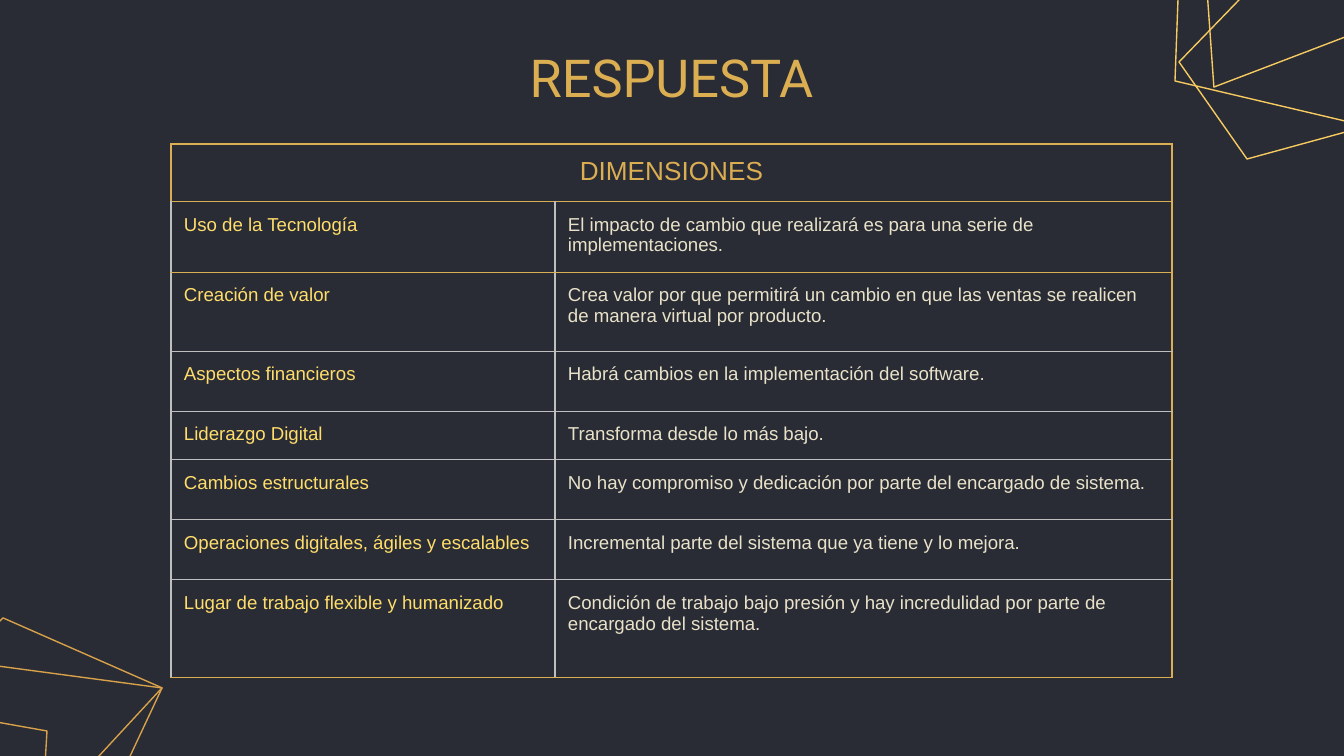
from dataclasses import dataclass

from lxml.etree import SubElement as Sub
from pptx import Presentation
from pptx.dml.color import RGBColor as Rgb
from pptx.enum.text import MSO_ANCHOR as Anchor, PP_ALIGN as Align
from pptx.oxml.ns import qn
from pptx.util import Pt

SCALE = 9144000 / 1344


def px(num):
    """Turn px into EMU."""
    return round(num * SCALE)


@dataclass(frozen=True)
class Theme:
    """Colours, fonts and type sizes."""
    back: str = "292C35"
    gold: str = "DCAE52"
    lemon: str = "FFDD6B"
    cream: str = "E9E2C9"
    pale: str = "BFBFBF"
    sun: str = "F8CB60"
    amber: str = "D9A24A"
    head: str = "Roboto"
    body: str = "Arial"
    big: int = 28
    mid: int = 14
    small: int = 10
    thin: float = 0.75
    pad: int = 13


class Deck:
    """Style and current slide."""

    def __init__(self, theme):
        """Start a deck with one blank slide."""
        self.theme = theme
        self.file = Presentation()
        self.file.slide_width, self.file.slide_height = px(1344), px(756)
        self.slide = self.file.slides.add_slide(self.file.slide_layouts[6])
        fill = self.slide.background.fill
        fill.solid()
        fill.fore_color.rgb = Rgb.from_string(theme.back)

    def label(self, para, text, font, size, color, align=Align.LEFT):
        """Add one styled run to a paragraph."""
        para.alignment = align
        run = para.add_run()
        run.text = text
        run.font.name, run.font.size = font, Pt(size)
        run.font.color.rgb = Rgb.from_string(color)

    def title(self, text, x, y, wide, high):
        """Add the centred title."""
        box = self.slide.shapes.add_textbox(px(x), px(y), px(wide), px(high))
        frame = box.text_frame
        frame.word_wrap = True
        frame.vertical_anchor = Anchor.MIDDLE
        self.label(frame.paragraphs[0], text, self.theme.head,
                   self.theme.big, self.theme.gold, Align.CENTER)

    def ring(self, color, points):
        """Draw a closed outline."""
        first, *rest = points
        form = self.slide.shapes.build_freeform(*first, scale=SCALE)
        form.add_line_segments(rest, close=True)
        shape = form.convert_to_shape()
        shape.shadow.inherit = False
        shape.fill.background()
        shape.line.color.rgb = Rgb.from_string(color)
        shape.line.width = Pt(self.theme.thin)

    def edge(self, cell, sides):
        """Set the four borders of a cell."""
        props = cell._tc.get_or_add_tcPr()
        for spot, (side, color) in enumerate(sides.items()):
            line = Sub(props, qn(f"a:ln{side}"), w=str(Pt(self.theme.thin)))
            fill = Sub(line, qn("a:solidFill"))
            Sub(fill, qn("a:srgbClr"), val=color)
            props.insert(spot, line)

    def table(self, x, y, cols, rows, head, body):
        """Add a table with a merged head row."""
        look = self.theme
        grid = self.slide.shapes.add_table(
            len(rows), len(cols), px(x), px(y),
            px(sum(cols)), px(sum(rows))).table
        grid.first_row = grid.horz_banding = False
        for col, wide in zip(grid.columns, cols):
            col.width = px(wide)
        for row, high in zip(grid.rows, rows):
            row.height = px(high)
        grid.cell(0, 0).merge(grid.cell(0, len(cols) - 1))
        last = len(rows) - 1
        for r in range(len(rows)):
            for c in range(len(cols)):
                cell = grid.cell(r, c)
                cell.fill.background()
                cell.margin_left = cell.margin_right = px(look.pad)
                cell.margin_top = cell.margin_bottom = px(look.pad)
                self.edge(cell, {
                    "L": look.pale if r else look.gold,
                    "R": look.pale if r and c == 0 else look.gold,
                    "T": look.pale if r > 2 else look.gold,
                    "B": look.pale if 1 < r < last else look.gold})
        self.label(grid.cell(0, 0).text_frame.paragraphs[0], head,
                   look.body, look.mid, look.gold, Align.CENTER)
        for r, pair in enumerate(body, 1):
            for c, color in enumerate((look.lemon, look.cream)):
                self.label(grid.cell(r, c).text_frame.paragraphs[0], pair[c],
                           look.body, look.small, color)


RIGHT = [
    [(1214, 87), (1192, -224), (1575, -171), (1505, -24)],
    [(1175, 81), (1181, -81), (1407, -161), (1532, -142), (1528, -64),
     (1400, 134)],
    [(1247, 159), (1179, 62), (1413, -180), (1598, -103), (1404, 116)],
]
LEFT = [
    [(-267, 918), (-258, 777), (-60, 712), (47, 731), (43, 800), (-74, 969)],
    [(-148, 910), (-204, 824), (3, 618), (162, 688), (-11, 875)],
    [(-148, 910), (-167, 644), (162, 688), (102, 816)],
]
ROWS = [
    ("Uso de la Tecnología",
     "El impacto de cambio que realizará es para una serie de "
     "implementaciones."),
    ("Creación de valor",
     "Crea valor por que permitirá un cambio en que las ventas se realicen "
     "de manera virtual por producto."),
    ("Aspectos financieros",
     "Habrá cambios en la implementación del software."),
    ("Liderazgo Digital", "Transforma desde lo más bajo."),
    ("Cambios estructurales",
     "No hay compromiso y dedicación por parte del encargado de sistema."),
    ("Operaciones digitales, ágiles y escalables",
     "Incremental parte del sistema que ya tiene y lo mejora."),
    ("Lugar de trabajo flexible y humanizado",
     "Condición de trabajo bajo presión y hay incredulidad por parte de "
     "encargado del sistema."),
]


def main():
    """Build the slide and save it."""
    theme = Theme()
    deck = Deck(theme)
    for color, rings in ((theme.sun, RIGHT), (theme.amber, LEFT)):
        for points in rings:
            deck.ring(color, points)
    deck.title("RESPUESTA", 293, 45, 757, 63)
    deck.table(171, 144, [384, 617], [56, 68, 79, 60, 48, 60, 60, 98],
               "DIMENSIONES", ROWS)
    deck.file.save("out.pptx")


if __name__ == "__main__":
    main()
